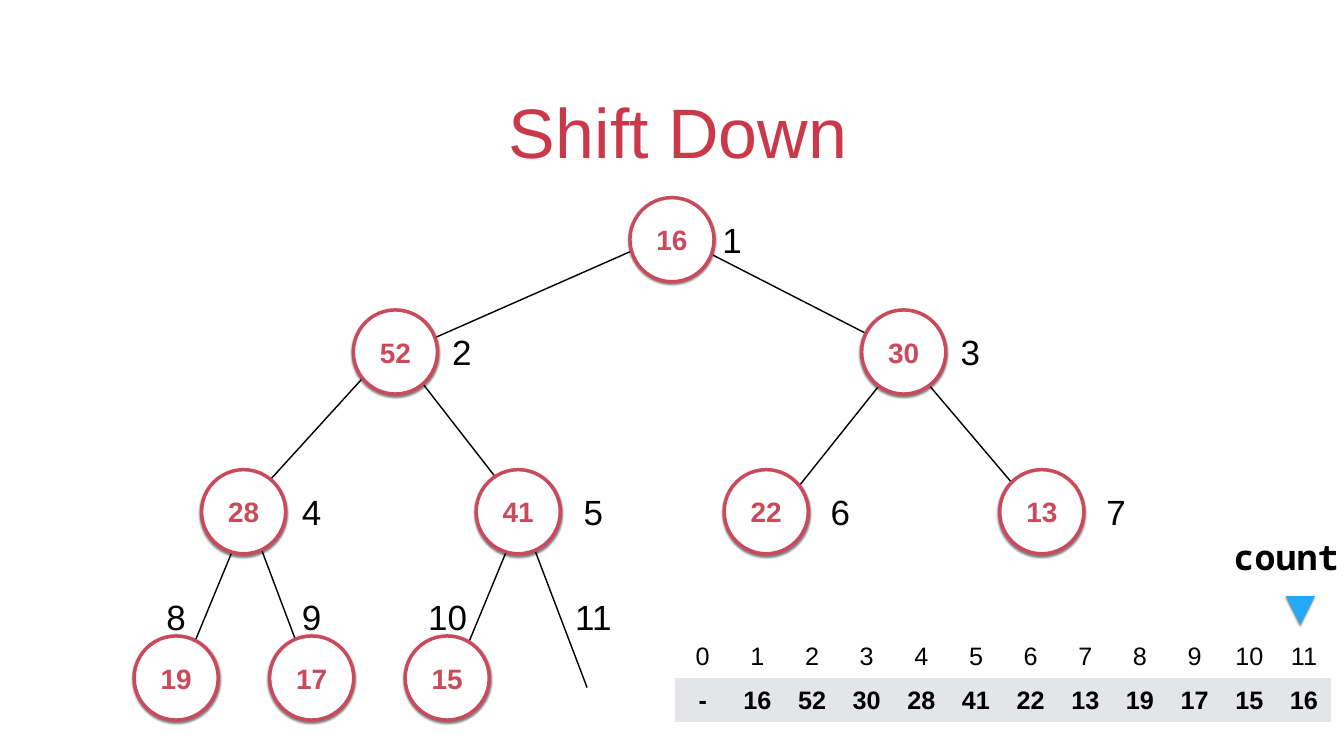
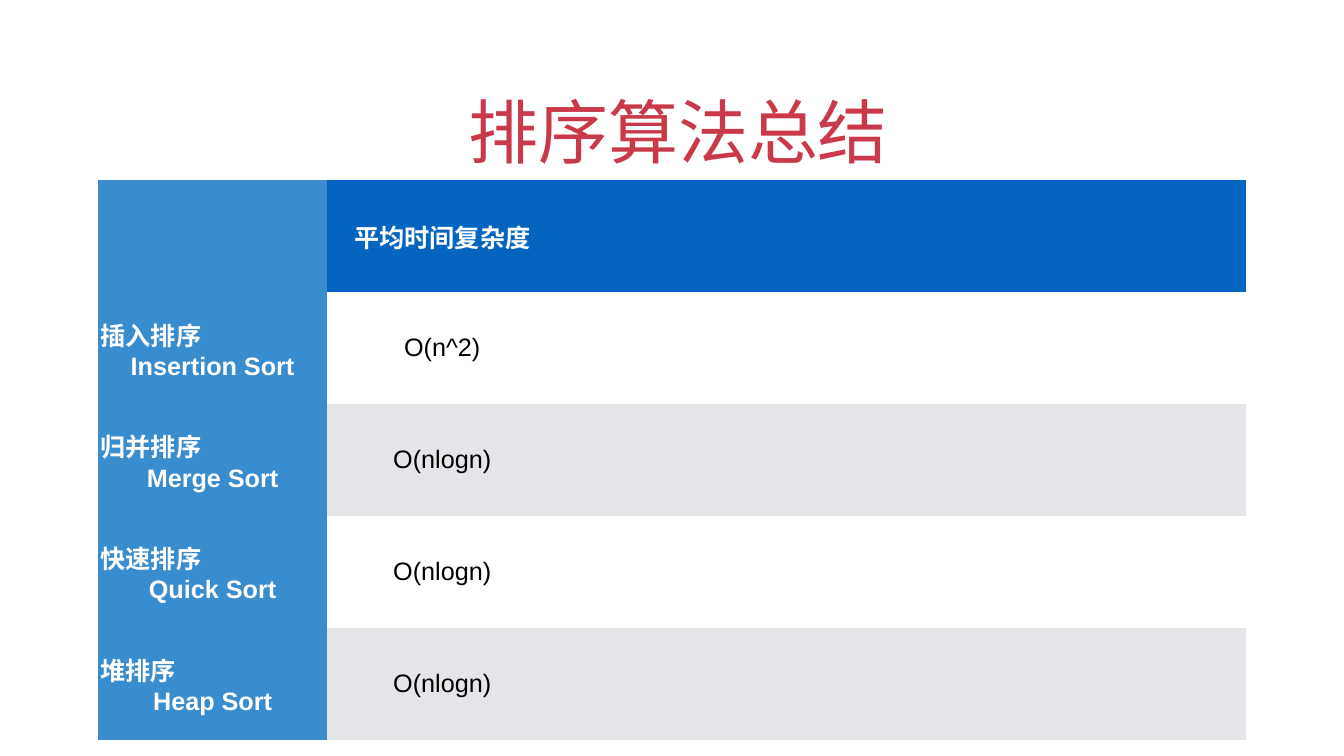
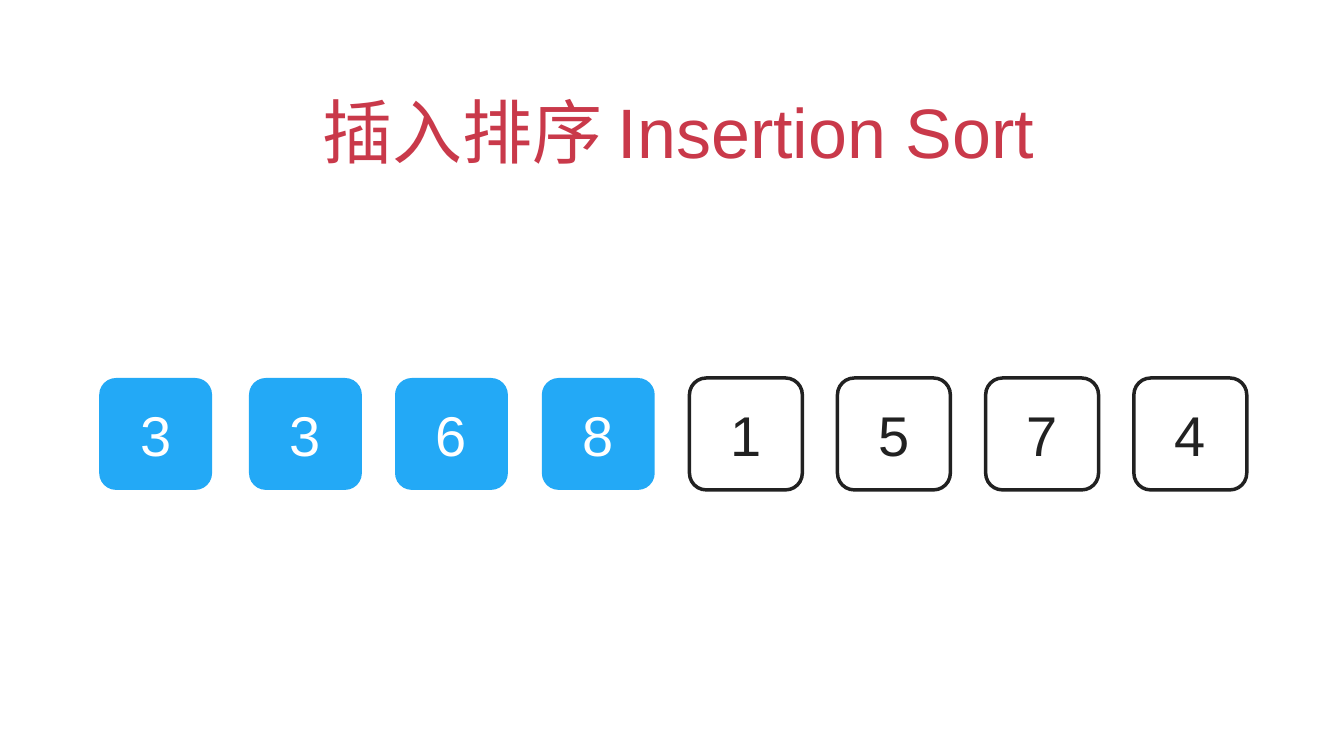
from lxml import etree
from pptx import Presentation
from pptx.dml.color import RGBColor
from pptx.enum.shapes import MSO_CONNECTOR as CONN, MSO_SHAPE as SHAPE
from pptx.enum.text import MSO_ANCHOR as ANCHOR, PP_ALIGN as ALIGN
from pptx.oxml.ns import qn
from pptx.util import Cm, Pt

# Content
HEAP = [16, 52, 30, 28, 41, 22, 13, 19, 17, 15]
ARRAY = ["-"] + [str(v) for v in HEAP] + ["16"]
SORTS = [
    ("插入排序", "Insertion Sort", "O(n^2)"),
    ("归并排序", "Merge Sort", "O(nlogn)"),
    ("快速排序", "Quick Sort", "O(nlogn)"),
    ("堆排序", "Heap Sort", "O(nlogn)"),
]
NUMBERS = [3, 3, 6, 8, 1, 5, 7, 4]
SORTED_COUNT = 4

# Tree layout in cm: centres by heap index, rows by depth
NODE_X = [33.87, 19.93, 45.55, 12.28, 26.12, 38.62, 52.51, 8.88, 15.71, 22.54]
INDEX_X = [36.9, 23.28, 48.91, 15.71, 29.91, 42.36, 56.25, 8.88, 15.71, 22.56, 29.91]
NODE_Y = [12.08, 17.74, 25.79, 34.17]
INDEX_Y = [12.06, 17.73, 25.78, 31.06]
NODE_SIZE = 4.24
# Parent end and child end of each edge
EDGES = [
    (33.63, 11.86, 19.74, 17.98), (33.99, 11.86, 45.26, 17.63),
    (19.35, 17.88, 12.07, 25.88), (19.74, 17.32, 26.82, 26.42),
    (45.77, 17.6, 38.96, 26.14), (45.44, 17.78, 52.4, 25.98),
    (12.52, 25.81, 8.89, 34.59), (12.45, 25.76, 15.8, 34.65),
    (26.34, 25.81, 22.71, 34.59), (26.21, 25.76, 29.59, 34.65),
]
BOX_X = [5, 12.55, 19.91, 27.31, 34.75, 42.21, 49.68, 57.15]

# Shared style
FONT, MONO = "Arial", "Noto Sans Mono"
MARGIN = Cm(0.14)
NO_GRID_STYLE = "{2D5ABB26-0587-4C30-8999-92F81FD0307C}"
WHITE = RGBColor(0xFF, 0xFF, 0xFF)
BLACK = RGBColor(0x00, 0x00, 0x00)
TITLE_RED = RGBColor(0xC9, 0x39, 0x4A)
NODE_RED = RGBColor(0xCA, 0x49, 0x5A)
SKY = RGBColor(0x23, 0xA9, 0xF6)
DARK = RGBColor(0x21, 0x21, 0x21)
HEAD_BLUE = RGBColor(0x03, 0x65, 0xC0)
SIDE_BLUE = RGBColor(0x39, 0x8C, 0xCE)
BAND = RGBColor(0xE3, 0xE5, 0xE8)


def add_run(p, text, size, color, bold=False, font=FONT):
    r = p.add_run()
    r.text = text
    r.font.name, r.font.size, r.font.bold = font, Pt(size), bold
    r.font.color.rgb = color


def write(tf, text, size, color, bold=False, font=FONT, anchor=ANCHOR.MIDDLE, wrap=True):
    tf.margin_left = tf.margin_right = tf.margin_top = tf.margin_bottom = MARGIN
    tf.vertical_anchor, tf.word_wrap = anchor, wrap
    p = tf.paragraphs[0]
    p.alignment = ALIGN.CENTER
    add_run(p, text, size, color, bold, font)
    return p


def add_label(s, x, y, w, h, text, font=FONT, bold=False):
    sp = s.shapes.add_textbox(Cm(x), Cm(y), Cm(w), Cm(h))
    write(sp.text_frame, text, 50, BLACK, bold, font, wrap=False)


def add_title_slide(prs, title):
    s = prs.slides.add_slide(prs.slide_layouts[6])
    sp = s.shapes.add_textbox(Cm(4.93), Cm(3.2), Cm(57.86), Cm(5.64))
    p = write(sp.text_frame, title, 100, TITLE_RED, anchor=ANCHOR.BOTTOM)
    p._p.get_or_add_pPr().set("indent", str(Cm(0.64)))
    return s


def paint(sp, fill=None, line=None):
    sp.shadow.inherit = False
    if fill is None:
        sp.fill.background()
    else:
        sp.fill.solid()
        sp.fill.fore_color.rgb = fill
    if line is None:
        sp.line.fill.background()
    else:
        sp.line.color.rgb, sp.line.width = line, Pt(5)


def add_shadow(sp):
    effects = sp._element.spPr.find(qn("a:effectLst"))
    shadow = etree.SubElement(effects, qn("a:outerShdw"), blurRad=str(Pt(3)),
                              dist=str(Pt(2)), dir="5400000", rotWithShape="0")
    color = etree.SubElement(shadow, qn("a:srgbClr"), val="000000")
    etree.SubElement(color, qn("a:alpha"), val="50000")


def add_edge(s, x1, y1, x2, y2):
    line = s.shapes.add_connector(CONN.STRAIGHT, Cm(x1), Cm(y1), Cm(x2), Cm(y2))
    line.line.color.rgb, line.line.width = BLACK, Pt(2)
    etree.SubElement(line._element.spPr, qn("a:effectLst"))


def add_plain_table(s, rows, cols, x, y, w, h):
    table = s.shapes.add_table(rows, cols, Cm(x), Cm(y), Cm(w), Cm(h)).table
    table.first_row = table.horz_banding = False
    table._tbl.tblPr.find(qn("a:tableStyleId")).text = NO_GRID_STYLE
    return table


def style_cell(cell, fill):
    cell.fill.solid()
    cell.fill.fore_color.rgb = fill
    cell.margin_left = cell.margin_right = cell.margin_top = cell.margin_bottom = MARGIN
    cell.vertical_anchor = ANCHOR.MIDDLE
    p = cell.text_frame.paragraphs[0]
    p.alignment = ALIGN.CENTER
    return p


def depth(index):
    return index.bit_length() - 1


def heap_slide(prs):
    s = add_title_slide(prs, "Shift Down")

    # Edges lie under the nodes
    for edge in EDGES:
        add_edge(s, *edge)

    # Nodes
    for i, (value, x) in enumerate(zip(HEAP, NODE_X), 1):
        sp = s.shapes.add_shape(SHAPE.OVAL, Cm(x - NODE_SIZE / 2),
                                Cm(NODE_Y[depth(i)] - NODE_SIZE / 2),
                                Cm(NODE_SIZE), Cm(NODE_SIZE))
        paint(sp, WHITE, NODE_RED)
        add_shadow(sp)
        write(sp.text_frame, str(value), 40, NODE_RED, bold=True)

    # Index beside each place
    for i, x in enumerate(INDEX_X, 1):
        w = 1.3 if i < 10 else 2.3
        add_label(s, x - w / 2, INDEX_Y[depth(i)] - 1.2, w, 2.39, str(i))

    # Array with its indexes
    table = add_plain_table(s, 2, len(ARRAY), 34.04, 31.98, 33.07, 4.42)
    for c, value in enumerate(ARRAY):
        add_run(style_cell(table.cell(0, c), WHITE), str(c), 36, BLACK)
        add_run(style_cell(table.cell(1, c), BAND), value, 36, BLACK, bold=True)

    # Count marker
    pen = s.shapes.build_freeform(Cm(65.55), Cm(31.48))
    pen.add_line_segments([(Cm(66.27), Cm(30.05)), (Cm(64.82), Cm(30.05))])
    marker = pen.convert_to_shape()
    paint(marker, SKY)
    add_shadow(marker)
    add_label(s, 62, 26.9, 5.64, 2.34, "count", MONO, bold=True)


def summary_slide(prs):
    s = add_title_slide(prs, "排序算法总结")
    table = add_plain_table(s, len(SORTS) + 1, 5, 4.93, 9.09, 57.86, 28.19)

    # Header row
    for c in range(5):
        p = style_cell(table.cell(0, c), HEAD_BLUE if c else SIDE_BLUE)
        if c == 1:
            add_run(p, "平均时间复杂度", 36, WHITE, bold=True)

    # One row for each algorithm: name at the left, English name centred
    for r, (name, english, cost) in enumerate(SORTS, 1):
        cell = table.cell(r, 0)
        p = style_cell(cell, SIDE_BLUE)
        p.alignment = ALIGN.LEFT
        add_run(p, name, 36, WHITE, bold=True)
        p = cell.text_frame.add_paragraph()
        p.alignment = ALIGN.CENTER
        add_run(p, english, 36, WHITE, bold=True)
        for c in range(1, 5):
            p = style_cell(table.cell(r, c), WHITE if r % 2 else BAND)
            if c == 1:
                add_run(p, cost, 36, BLACK)


def insertion_slide(prs):
    s = add_title_slide(prs, "插入排序 Insertion Sort")
    for i, (number, x) in enumerate(zip(NUMBERS, BOX_X)):
        sp = s.shapes.add_shape(SHAPE.ROUNDED_RECTANGLE, Cm(x), Cm(19.05),
                                Cm(5.69), Cm(5.64))
        sp.adjustments[0] = 0.15
        done = i < SORTED_COUNT
        paint(sp, SKY if done else None, None if done else DARK)
        write(sp.text_frame, str(number), 80, WHITE if done else DARK)


def main():
    prs = Presentation()
    prs.slide_width, prs.slide_height = Cm(67.74), Cm(38.1)
    heap_slide(prs)
    summary_slide(prs)
    insertion_slide(prs)
    prs.save("out.pptx")


if __name__ == "__main__":
    main()
